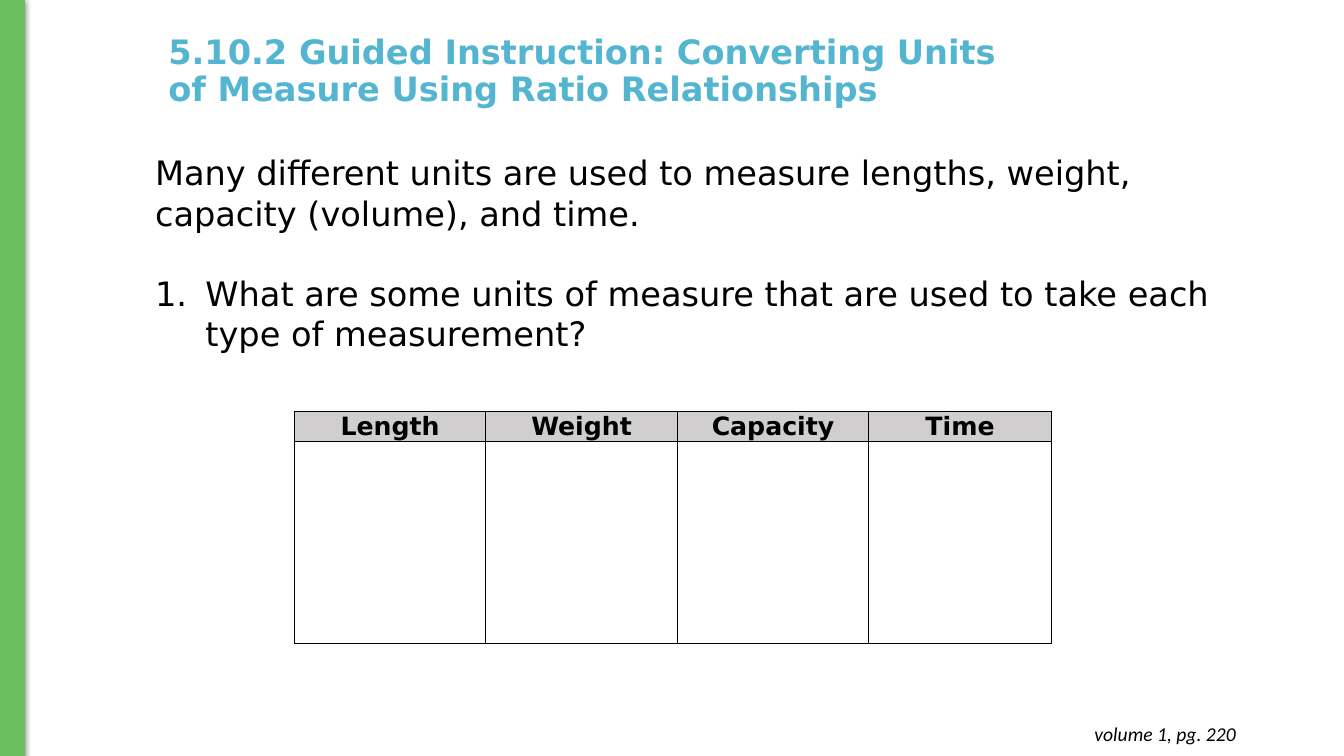
from dataclasses import dataclass
from typing import Any

from lxml.etree import SubElement
from pptx import Presentation
from pptx.dml.color import RGBColor
from pptx.enum.shapes import MSO_SHAPE
from pptx.enum.text import MSO_ANCHOR, MSO_AUTO_SIZE, PP_ALIGN
from pptx.oxml import parse_xml
from pptx.oxml.ns import nsdecls, qn
from pptx.util import Inches, Pt

SLIDE_WIDTH = Inches(13.333)
SLIDE_HEIGHT = Inches(7.5)


@dataclass(frozen=True)
class Theme:
    accent: str = "6CBF5F"
    heading: str = "54B5D1"
    ink: str = "000000"
    header_fill: str = "D0CECE"
    main_font: str = "DejaVu Sans"
    note_font: str = "Calibri"
    main_size: int = 24
    header_size: int = 18
    note_size: int = 14


@dataclass(frozen=True)
class Area:
    left: float
    top: float
    width: float
    height: float

    def box(self) -> tuple[int, int, int, int]:
        return (across(self.left), down(self.top), across(self.width), down(self.height))


@dataclass(frozen=True)
class Style:
    size: int
    color: str
    font: str = "DejaVu Sans"
    bold: bool = False
    italic: bool = False


@dataclass(frozen=True)
class Column:
    heading: str
    share: float


THEME = Theme()
TITLE = Style(THEME.main_size, THEME.heading, THEME.main_font, bold=True)
BODY = Style(THEME.main_size, THEME.ink, THEME.main_font)
HEADER = Style(THEME.header_size, THEME.ink, THEME.main_font, bold=True)
NOTE = Style(THEME.note_size, THEME.ink, THEME.note_font, italic=True)

SIDEBAR_AREA = Area(0, -0.13, 1.8, 100.13)
TITLE_AREA = Area(11.78, -0.13, 65.78, 19.33)
QUESTION_AREA = Area(10.8, 19.47, 80.93, 28.27)
UNITS_AREA = Area(21.9, 54.4, 56.33, 30.67)
PAGE_AREA = Area(71.1, 94.13, 21.6, 5.87)

COLUMNS = [
    Column("Length", 14.25),
    Column("Weight", 14.25),
    Column("Capacity", 14.25),
    Column("Time", 13.58),
]
ROW_SHARES = [4, 26.67]


def across(percent: float) -> int:
    return round(SLIDE_WIDTH * percent / 100)


def down(percent: float) -> int:
    return round(SLIDE_HEIGHT * percent / 100)


def add_run(paragraph: Any, wording: str, style: Style) -> None:
    run = paragraph.add_run()
    run.text = wording
    run.font.name = style.font
    run.font.size = Pt(style.size)
    run.font.bold = style.bold
    run.font.italic = style.italic
    run.font.color.rgb = RGBColor.from_string(style.color)


def add_sidebar(slide: Any) -> None:
    sidebar = slide.shapes.add_shape(MSO_SHAPE.RECTANGLE, *SIDEBAR_AREA.box())
    sidebar.fill.solid()
    sidebar.fill.fore_color.rgb = RGBColor.from_string(THEME.accent)
    sidebar.line.color.rgb = RGBColor.from_string(THEME.accent)
    sidebar.line.width = Pt(0.75)
    sidebar.shadow.inherit = False
    effects = sidebar.element.spPr.find(qn("a:effectLst"))
    effects.append(parse_xml(
        f'<a:outerShdw {nsdecls("a")} blurRad="{Pt(4.5)}" dist="{Pt(1.5)}" '
        f'dir="5400000" rotWithShape="0"><a:srgbClr val="{THEME.ink}">'
        '<a:alpha val="50000"/></a:srgbClr></a:outerShdw>'
    ))


def set_title(slide: Any) -> None:
    title = slide.shapes.title
    title.left, title.top, title.width, title.height = TITLE_AREA.box()
    frame = title.text_frame
    frame.word_wrap = True
    frame.auto_size = MSO_AUTO_SIZE.NONE
    frame.vertical_anchor = MSO_ANCHOR.MIDDLE
    heading = frame.paragraphs[0]
    heading.alignment = PP_ALIGN.LEFT
    heading.line_spacing = 0.9
    add_run(heading, "5.10.2 Guided Instruction: Converting Units of Measure "
                     "Using Ratio Relationships", TITLE)


def add_text_frame(slide: Any, area: Area) -> Any:
    frame = slide.shapes.add_textbox(*area.box()).text_frame
    frame.word_wrap = True
    frame.auto_size = MSO_AUTO_SIZE.SHAPE_TO_FIT_TEXT
    return frame


def add_question(slide: Any) -> None:
    frame = add_text_frame(slide, QUESTION_AREA)
    add_run(frame.paragraphs[0], "Many different units are used to measure lengths, "
                                 "weight, capacity (volume), and time.", BODY)
    question = frame.add_paragraph()
    question.space_before = Pt(28.5)
    properties = question._p.get_or_add_pPr()
    properties.set("marL", str(Inches(0.5)))
    properties.set("indent", str(-Inches(0.5)))
    SubElement(properties, qn("a:buFont"), typeface=THEME.main_font)
    SubElement(properties, qn("a:buAutoNum"), type="arabicPeriod")
    add_run(question, "What are some units of measure that are used to take each "
                      "type of measurement?", BODY)


def add_borders(cell: Any) -> None:
    properties = cell._tc.get_or_add_tcPr()
    for place, side in enumerate(("lnL", "lnR", "lnT", "lnB")):
        properties.insert(place, parse_xml(
            f'<a:{side} {nsdecls("a")} w="{Pt(1)}"><a:solidFill>'
            f'<a:srgbClr val="{THEME.ink}"/></a:solidFill></a:{side}>'
        ))


def add_units_table(slide: Any) -> None:
    units = slide.shapes.add_table(
        len(ROW_SHARES), len(COLUMNS), *UNITS_AREA.box()).table
    units.first_row = False
    units.horz_banding = False
    for row, share in zip(units.rows, ROW_SHARES):
        row.height = down(share)
    for index, column in enumerate(COLUMNS):
        units.columns[index].width = across(column.share)
        header, answer = units.cell(0, index), units.cell(1, index)
        header.fill.solid()
        header.fill.fore_color.rgb = RGBColor.from_string(THEME.header_fill)
        header.vertical_anchor = MSO_ANCHOR.MIDDLE
        header.margin_left = header.margin_right = Inches(0.07)
        header.margin_top = header.margin_bottom = 0
        heading = header.text_frame.paragraphs[0]
        heading.alignment = PP_ALIGN.CENTER
        add_run(heading, column.heading, HEADER)
        answer.fill.background()
        add_borders(header)
        add_borders(answer)


def add_page_reference(slide: Any) -> None:
    frame = add_text_frame(slide, PAGE_AREA)
    frame.margin_top = frame.margin_bottom = Inches(0.1)
    reference = frame.paragraphs[0]
    reference.alignment = PP_ALIGN.RIGHT
    add_run(reference, "volume 1, pg. 220", NOTE)


def main() -> None:
    deck = Presentation()
    deck.slide_width, deck.slide_height = SLIDE_WIDTH, SLIDE_HEIGHT
    slide = deck.slides.add_slide(deck.slide_layouts[5])
    add_sidebar(slide)
    set_title(slide)
    add_question(slide)
    add_units_table(slide)
    add_page_reference(slide)
    deck.save("out.pptx")


if __name__ == "__main__":
    main()
